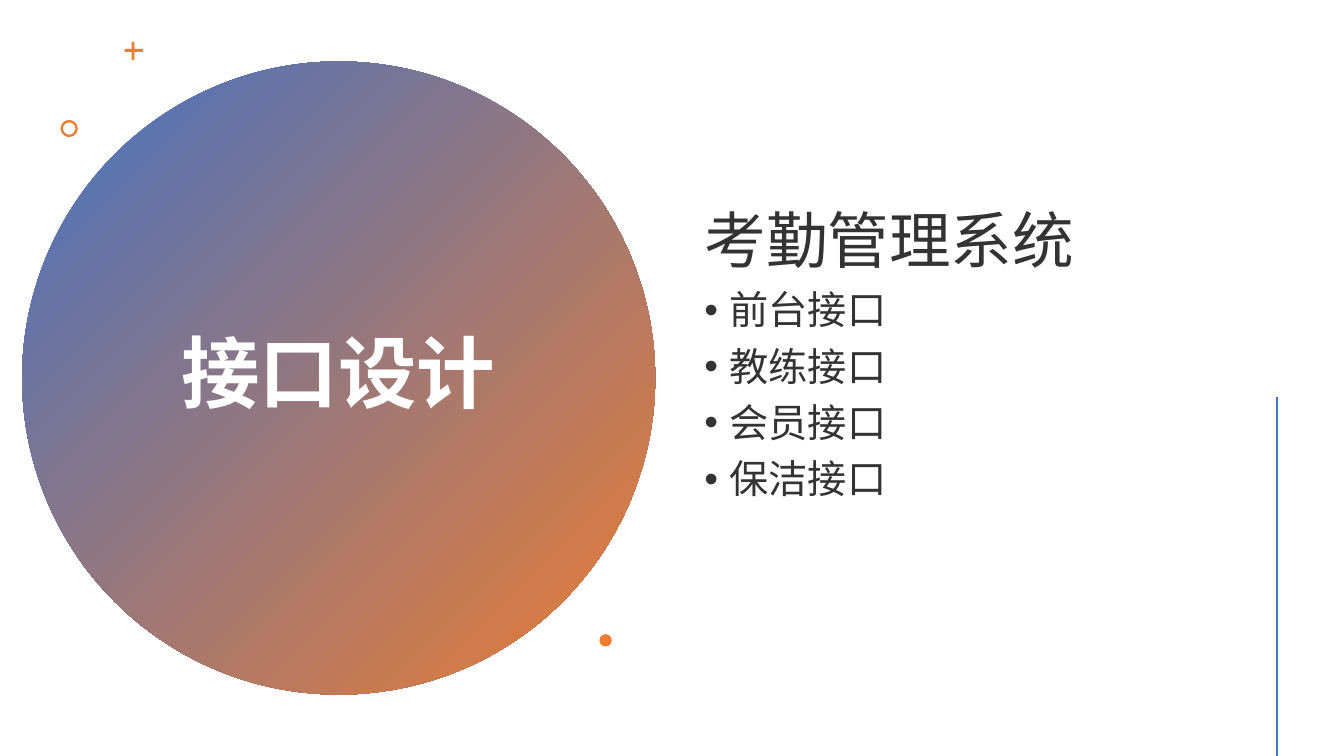
from math import cos, pi, sin

from lxml import etree
from pptx import Presentation
from pptx.dml.color import RGBColor
from pptx.enum.shapes import MSO_CONNECTOR, MSO_SHAPE
from pptx.enum.text import MSO_ANCHOR, PP_ALIGN
from pptx.oxml.ns import qn
from pptx.util import Pt

OVAL, RING = MSO_SHAPE.OVAL, MSO_SHAPE.DONUT
LINE = MSO_CONNECTOR.STRAIGHT
MIDDLE = MSO_ANCHOR.MIDDLE
CENTER, LEFT = PP_ALIGN.CENTER, PP_ALIGN.LEFT
SANS, ARIAL = "Noto Sans CJK SC", "Arial"
COLORS = {"blue": "4472C4", "orange": "ED7D31", "white": "FFFFFF", "ink": "333333"}
HEAD = {"size": Pt(56), "bold": True, "name": SANS}
LEAD = {"size": Pt(44), "bold": False, "name": ARIAL}
ITEM = {"size": Pt(28), "bold": False, "name": SANS}
ITEMS = ["前台接口", "教练接口", "会员接口", "保洁接口"]


class Deck:
    def __init__(self, wide, high):
        self.file = Presentation()
        self.file.slide_width, self.file.slide_height = Pt(wide), Pt(high)
        self.slide = self.file.slides.add_slide(self.file.slide_layouts[5])
        self.shapes = self.slide.shapes

    def color(self, name):
        return RGBColor.from_string(COLORS[name])

    def paint(self, shape, name):
        shape.shadow.inherit = False
        shape.line.fill.background()
        shape.fill.solid()
        shape.fill.fore_color.rgb = self.color(name)

    def shape(self, kind, x, y, size, name):
        shape = self.shapes.add_shape(kind, Pt(x), Pt(y), Pt(size), Pt(size))
        self.paint(shape, name)
        return shape

    def blend(self, shape, names, angle):
        shape.fill.gradient()
        shape.fill.gradient_angle = angle
        for stop, name, spot in zip(shape.fill.gradient_stops, names, (0, 1)):
            stop.color.rgb = self.color(name)
            stop.position = spot

    def plus(self, x, y, reach, half, name):
        dots = []
        for arm in range(4):
            turn = arm * pi / 2
            edge = [(half, -half)]
            for step in range(9):
                bend = -pi / 2 + step * pi / 8
                edge.append((reach - half + half * cos(bend), half * sin(bend)))
            for u, v in edge:
                dots.append((x + u * cos(turn) - v * sin(turn),
                             y + u * sin(turn) + v * cos(turn)))
        form = self.shapes.build_freeform(*dots[0], scale=Pt(1))
        form.add_line_segments(dots[1:])
        self.paint(form.convert_to_shape(), name)

    def line(self, x, top, end, name, width):
        line = self.shapes.add_connector(LINE, Pt(x), Pt(top), Pt(x), Pt(end))
        line.line.color.rgb = self.color(name)
        line.line.width = Pt(width)
        etree.SubElement(line._element.spPr, qn("a:effectLst"))

    def frame(self, shape, x, y, wide, high):
        shape.left, shape.top = Pt(x), Pt(y)
        shape.width, shape.height = Pt(wide), Pt(high)
        frame = shape.text_frame
        frame.word_wrap = True
        frame.vertical_anchor = MIDDLE
        return frame

    def put(self, para, text, style, name, align):
        para.alignment = align
        para.line_spacing = 0.9
        run = para.add_run()
        run.text = text
        for key, value in style.items():
            setattr(run.font, key, value)
        run.font.color.rgb = self.color(name)
        east = etree.SubElement(run._r.get_or_add_rPr(), qn("a:ea"))
        east.set("typeface", SANS)

    def title(self, text, *box):
        frame = self.frame(self.shapes.title, *box)
        self.put(frame.paragraphs[0], text, HEAD, "white", CENTER)

    def list(self, lead, items, *box):
        frame = self.frame(self.shapes.add_textbox(0, 0, 0, 0), *box)
        self.put(frame.paragraphs[0], lead, LEAD, "ink", LEFT)
        for item in items:
            para = frame.add_paragraph()
            para.space_before = Pt(10)
            props = para._p.get_or_add_pPr()
            props.set("marL", str(Pt(18)))
            props.set("indent", str(Pt(-18)))
            etree.SubElement(props, qn("a:buFont")).set("typeface", ARIAL)
            etree.SubElement(props, qn("a:buChar")).set("char", "•")
            self.put(para, item, ITEM, "ink", LEFT)


def main():
    deck = Deck(960, 540)
    disc = deck.shape(OVAL, 15.8, 43.9, 452.2, "blue")
    deck.blend(disc, ("blue", "orange"), 315)
    title = deck.shapes.title._element
    disc._element.addnext(title)
    deck.title("接口设计", 97.9, 101.5, 287.3, 336.2)
    deck.plus(95.4, 36.4, 6.8, 1, "orange")
    ring = deck.shape(RING, 43.2, 85.6, 12.4, "orange")
    ring.adjustments[0] = 0.14
    deck.list("考勤管理系统", ITEMS, 496.1, 41, 375.8, 427)
    deck.shape(OVAL, 428.2, 453, 8.8, "orange")
    deck.line(912.2, 283.7, 540, "blue", 2)
    deck.file.save("out.pptx")


if __name__ == "__main__":
    main()
